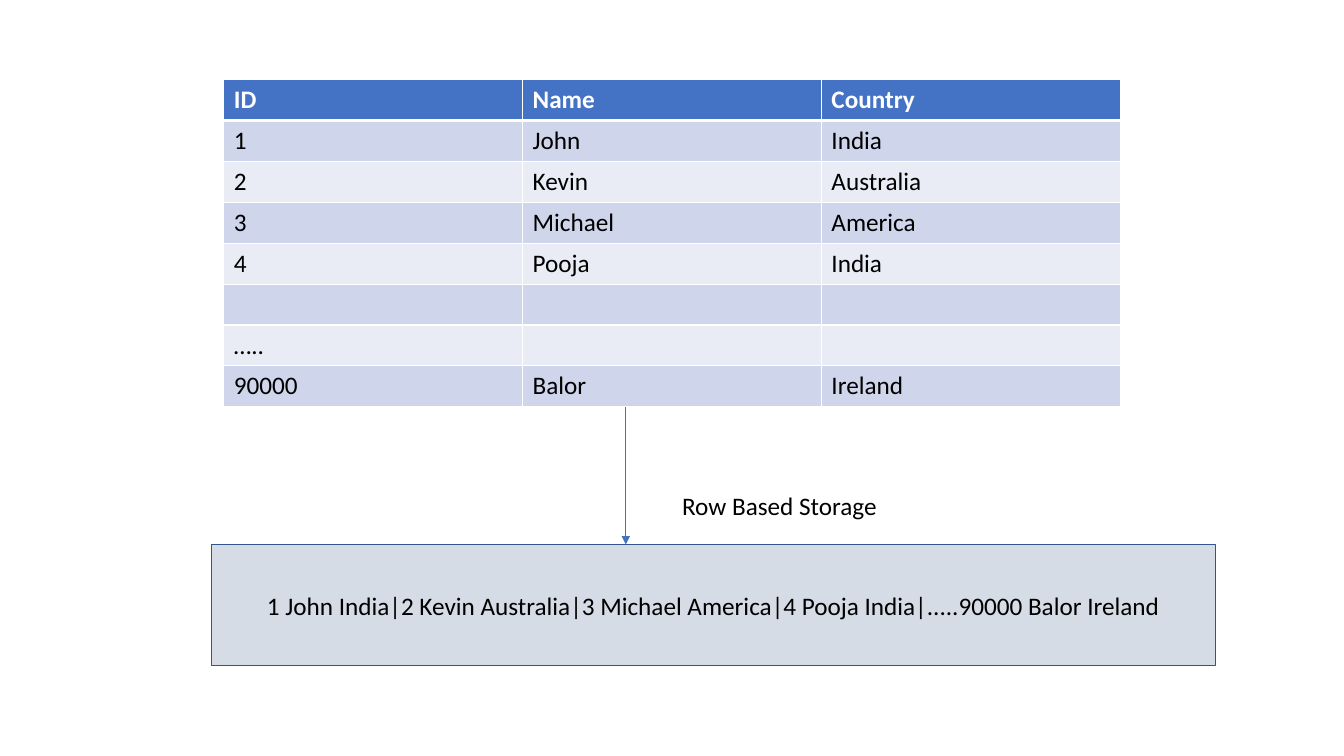
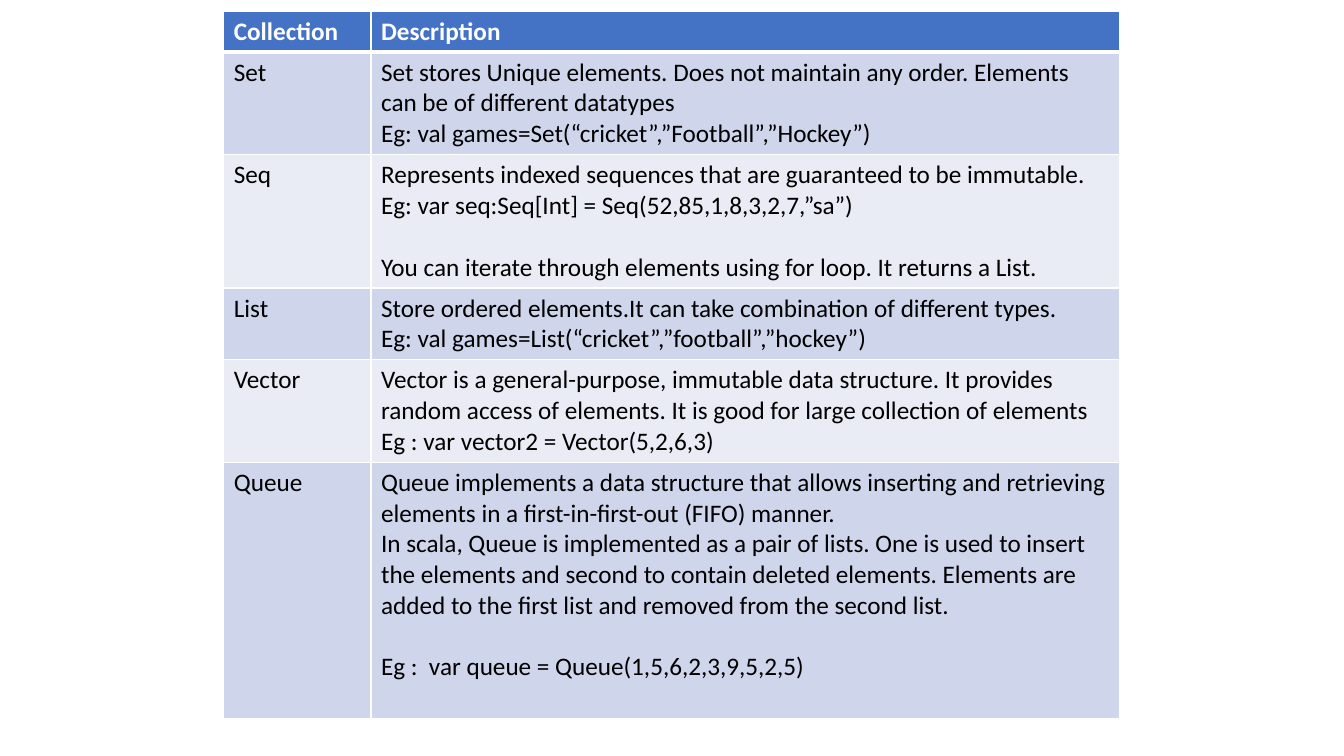
from lxml import etree
from pptx import Presentation
from pptx.dml.color import RGBColor
from pptx.enum import shapes, text
from pptx.oxml import ns
from pptx.util import Cm, Pt

FONT = "Calibri"
WHITE, BLACK = "FFFFFF", "000000"
BLUE, BOX_EDGE, BOX_FILL = "4472C4", "325491", "D6DCE5"
BANDS = ("CFD5EA", "E9EBF5")
TABLE_LEFT = 5.64
ROW_HEIGHT = 1.03
BLANK_LINE = Pt(22)

PEOPLE = [
    ("ID", "Name", "Country"),
    ("1", "John", "India"),
    ("2", "Kevin", "Australia"),
    ("3", "Michael", "America"),
    ("4", "Pooja", "India"),
    ("", "", ""),
    ("…..", "", ""),
    ("90000", "Balor", "Ireland"),
]

COLLECTIONS = [
    ("Collection", "Description"),
    ("Set",
     "Set stores Unique elements. Does not maintain any order. "
     "Elements can be of different datatypes\n"
     "Eg: val games=Set(“cricket”,”Football”,”Hockey”)"),
    ("Seq",
     "Represents indexed sequences that are guaranteed to be immutable.\n"
     "Eg: var seq:Seq[Int] = Seq(52,85,1,8,3,2,7,”sa”)\n"
     "You can iterate through elements using for loop. It returns a List."),
    ("List",
     "Store ordered elements.It can take combination of different types.\n"
     "Eg: val games=List(“cricket”,”football”,”hockey”)"),
    ("Vector",
     "Vector is a general-purpose, immutable data structure. It provides "
     "random access of elements. It is good for large collection of elements\n"
     "Eg : var vector2 = Vector(5,2,6,3)"),
    ("Queue",
     "Queue implements a data structure that allows inserting and retrieving "
     "elements in a first-in-first-out (FIFO) manner.\n"
     "In scala, Queue is implemented as a pair of lists. One is used to insert "
     "the elements and second to contain deleted elements. Elements are "
     "added to the first list and removed from the second list.\n"
     "Eg :  var queue = Queue(1,5,6,2,3,9,5,2,5)"),
]


def rgb(value):
    return RGBColor.from_string(value)


def paint(target, color):
    target.fill.solid()
    target.fill.fore_color.rgb = rgb(color)


def write(frame, content, color=BLACK, bold=False, align=text.PP_ALIGN.LEFT):
    frame.text = content
    for paragraph in frame.paragraphs:
        paragraph.alignment = align
        font = paragraph.font
        font.name, font.size, font.bold = FONT, Pt(18), bold
        font.color.rgb = rgb(color)


def set_borders(cell, top, bottom):
    """Draw white cell borders; top and bottom are widths in points."""
    properties = cell._tc.get_or_add_tcPr()
    for tag, width in (("lnL", 1), ("lnR", 1), ("lnT", top), ("lnB", bottom)):
        line = etree.SubElement(properties, ns.qn(f"a:{tag}"), w=str(Pt(width)))
        fill = etree.SubElement(line, ns.qn("a:solidFill"))
        etree.SubElement(fill, ns.qn("a:srgbClr"), val=WHITE)


def add_banded_table(slide, top, widths, heights, rows):
    table = slide.shapes.add_table(
        len(rows), len(widths), Cm(TABLE_LEFT), Cm(top),
        Cm(sum(widths)), Cm(sum(heights))).table
    for column, width in zip(table.columns, widths):
        column.width = Cm(width)
    for r, (values, height) in enumerate(zip(rows, heights)):
        table.rows[r].height = Cm(height)
        header = r == 0
        for c, value in enumerate(values):
            cell = table.cell(r, c)
            set_borders(cell, top=3 if r == 1 else 1, bottom=3 if header else 1)
            paint(cell, BLUE if header else BANDS[(r - 1) % 2])
            write(cell.text_frame, value, WHITE if header else BLACK, header)
    return table


def add_storage_box(slide, left, top, width, height, content):
    box = slide.shapes.add_shape(shapes.MSO_SHAPE.RECTANGLE,
                                 Cm(left), Cm(top), Cm(width), Cm(height))
    box.shadow.inherit = False
    paint(box, BOX_FILL)
    box.line.color.rgb = rgb(BOX_EDGE)
    box.line.width = Pt(1)
    box.text_frame.vertical_anchor = text.MSO_ANCHOR.MIDDLE
    write(box.text_frame, content, align=text.PP_ALIGN.CENTER)


def add_down_arrow(slide, x, top, bottom):
    arrow = slide.shapes.add_connector(shapes.MSO_CONNECTOR.STRAIGHT,
                                       Cm(x), Cm(top), Cm(x), Cm(bottom))
    arrow.line.color.rgb = rgb(BLUE)
    arrow.line.width = Pt(0.5)
    etree.SubElement(arrow.line._get_or_add_ln(), ns.qn("a:tailEnd"),
                     type="triangle")
    etree.SubElement(arrow._element.spPr, ns.qn("a:effectLst"))


def add_label(slide, left, top, width, height, content):
    label = slide.shapes.add_textbox(Cm(left), Cm(top), Cm(width), Cm(height))
    label.text_frame.word_wrap = False
    label.text_frame.auto_size = text.MSO_AUTO_SIZE.SHAPE_TO_FIT_TEXT
    write(label.text_frame, content)


def build_row_storage(slide):
    table_top, box_top = 2.01, 13.72
    heights = [ROW_HEIGHT] * len(PEOPLE)
    add_banded_table(slide, table_top, [7.53] * 3, heights, PEOPLE)
    add_storage_box(
        slide, 5.33, box_top, 25.3, 3.05,
        "1 John India|2 Kevin Australia|3 Michael America|4 Pooja India|"
        ".....90000 Balor Ireland")
    add_down_arrow(slide, 15.77, table_top + sum(heights), box_top)
    add_label(slide, 16.94, 12.22, 5.46, 1.02, "Row Based Storage")


def build_collections(slide):
    heights = [ROW_HEIGHT, 2.59, 3.35, 1.8, 2.59, 6.45]
    table = add_banded_table(slide, 0.28, [3.71, 18.87], heights, COLLECTIONS)
    for row, (name, _) in enumerate(COLLECTIONS):
        if name in ("Seq", "Queue"):
            closing = table.cell(row, 1).text_frame.paragraphs[-1]
            closing.space_before = BLANK_LINE


def main():
    deck = Presentation()
    deck.slide_width, deck.slide_height = Cm(33.87), Cm(19.05)
    blank = deck.slide_layouts[6]
    for build in (build_row_storage, build_collections):
        build(deck.slides.add_slide(blank))
    deck.save("out.pptx")


if __name__ == "__main__":
    main()
